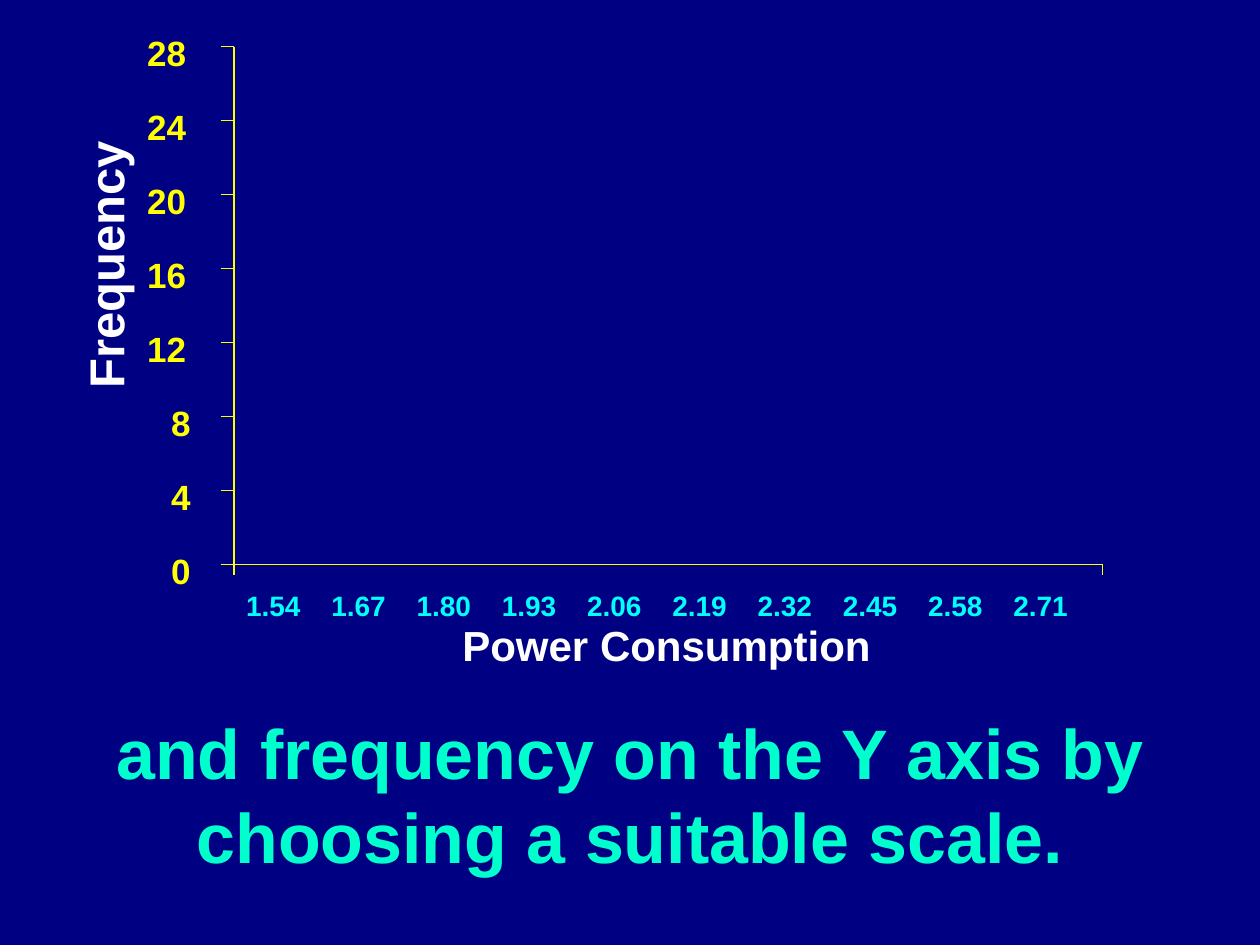
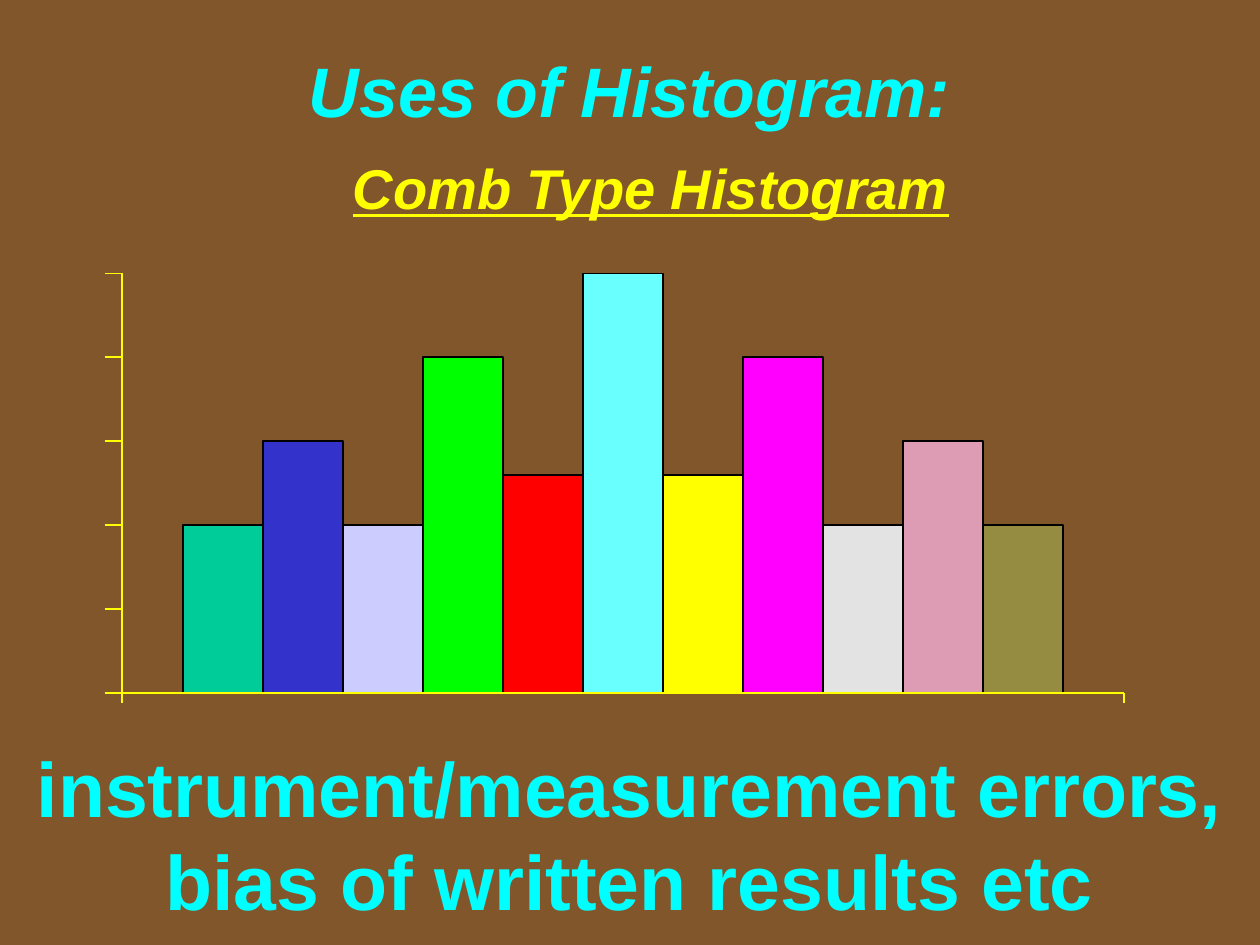
from lxml import etree
from pptx import Presentation
from pptx.dml.color import RGBColor
from pptx.enum.shapes import MSO_CONNECTOR, MSO_SHAPE
from pptx.enum.text import MSO_ANCHOR, MSO_AUTO_SIZE, PP_ALIGN
from pptx.oxml.ns import qn
from pptx.util import Inches, Pt

NAVY = RGBColor(0x00, 0x00, 0x82)
BROWN = RGBColor(0x81, 0x56, 0x2B)
YELLOW = RGBColor(0xFF, 0xFF, 0x00)
CYAN = RGBColor(0x00, 0xFF, 0xFF)
MINT = RGBColor(0x00, 0xFF, 0xCC)
WHITE = RGBColor(0xFF, 0xFF, 0xFF)
BLACK = RGBColor(0x00, 0x00, 0x00)

LEFT, CENTER = PP_ALIGN.LEFT, PP_ALIGN.CENTER
TOP = MSO_ANCHOR.TOP
GROW = MSO_AUTO_SIZE.SHAPE_TO_FIT_TEXT
STRAIGHT = MSO_CONNECTOR.STRAIGHT
RECT = MSO_SHAPE.RECTANGLE
TITLE_ONLY, BLANK = 5, 6

# Bar heights in scale steps, with their fills
BARS = [
    (2, "00CC99"), (3, "3333CC"), (2, "CCCCFF"), (4, "00FF00"),
    (2.6, "FF0000"), (5, "69FFFF"), (2.6, "FFFF00"), (4, "FF00FF"),
    (2, "E3E3E3"), (3, "DD9CB3"), (2, "958C41"),
]
POWERS = [f"{1.54 + 0.13 * i:.2f}" for i in range(10)]


class Deck:
    font = {"name": "Arial", "bold": True}

    def __init__(self):
        self.prs = Presentation()
        self.prs.slide_width = Inches(10)
        self.prs.slide_height = Inches(7.5)
        self.slide = None

    def start(self, layout, color):
        self.slide = self.prs.slides.add_slide(self.prs.slide_layouts[layout])
        fill = self.slide.background.fill
        fill.solid()
        fill.fore_color.rgb = color

    def put(self, shape, text, size, color, align=CENTER, wrap=True, **style):
        """Set and format the one paragraph of a shape."""
        frame = shape.text_frame
        frame.word_wrap = wrap
        frame.auto_size = GROW
        frame.vertical_anchor = TOP
        par = frame.paragraphs[0]
        par.text = text
        par.alignment = align
        for key, value in {**self.font, "size": Pt(size), **style}.items():
            setattr(par.font, key, value)
        par.font.color.rgb = color

    def text(self, box, text, size, color, turn=0, **style):
        shape = self.slide.shapes.add_textbox(*map(Inches, box))
        shape.rotation = turn
        self.put(shape, text, size, color, **style)

    def title(self, box, text, size, color, **style):
        shape = self.slide.shapes.title
        shape.left, shape.top, shape.width, shape.height = map(Inches, box)
        self.put(shape, text, size, color, **style)

    def line(self, *ends):
        line = self.slide.shapes.add_connector(STRAIGHT, *map(Inches, ends))
        line.line.color.rgb = YELLOW
        line.line.width = Pt(1)
        etree.SubElement(line._element.spPr, qn("a:effectLst"))

    def bar(self, box, color):
        shape = self.slide.shapes.add_shape(RECT, *map(Inches, box))
        shape.shadow.inherit = False
        shape.fill.solid()
        shape.fill.fore_color.rgb = color
        shape.line.color.rgb = BLACK
        shape.line.width = Pt(1)

    def axes(self, left, top, right, base, steps, tick):
        """Draw both axes, with a tick at each step and at the base line's ends."""
        self.line(left, top, left, base)
        for i in range(steps + 1):
            y = base - i * (base - top) / steps
            self.line(left - tick, y, left, y)
        self.line(left, base, right, base)
        for x in (left, right):
            self.line(x, base + 0.08, x, base)


def scale_slide(deck):
    deck.start(BLANK, NAVY)
    deck.text((0, 5.58, 10, 1.43),
              "and frequency on the Y axis by choosing a suitable scale.", 40, MINT)
    top, base, steps = 0.37, 4.48, 7
    deck.axes(1.86, top, 8.75, base, steps, 0.11)
    for i in range(steps + 1):
        label = str(4 * i)
        left, width = (1.26, 0.36) if len(label) == 1 else (1.07, 0.51)
        y = base - 0.17 - i * (base - top) / steps
        deck.text((left, y, width, 0.43), label, 20, YELLOW, align=LEFT, wrap=False)
    first, last = 1.83, 7.92
    pitch = (last - first) / (len(POWERS) - 1)
    for i, power in enumerate(POWERS):
        deck.text((first + i * pitch, 4.62, pitch, 0.37), power, 16, CYAN, wrap=False)
    deck.text((1.84, 4.87, 6.9, 0.5), "Power Consumption", 24, WHITE)
    deck.text((-0.25, 1.81, 2.17, 0.57), "Frequency", 28, WHITE,
              turn=270, align=LEFT, wrap=False)


def comb_slide(deck):
    deck.start(TITLE_ONLY, BROWN)
    deck.text((0, 5.83, 10, 1.57),
              "instrument/measurement errors, bias of written results etc", 44, CYAN)
    deck.title((0.33, 0.33, 9.33, 0.77), "Uses of Histogram:", 40, CYAN, italic=True)
    top, base, steps = 2.17, 5.5, 5
    first, end = 1.45, 8.44
    width = (end - first) / len(BARS)
    for i, (value, color) in enumerate(BARS):
        tall = value * (base - top) / steps
        deck.bar((first + i * width, base - tall, width, tall),
                 RGBColor.from_string(color))
    deck.axes(0.97, top, 8.92, base, steps, 0.14)
    deck.text((1, 1.17, 8.33, 0.63), "Comb Type Histogram", 32, YELLOW,
              italic=True, underline=True)


def main():
    deck = Deck()
    scale_slide(deck)
    comb_slide(deck)
    deck.prs.save("out.pptx")


if __name__ == "__main__":
    main()
